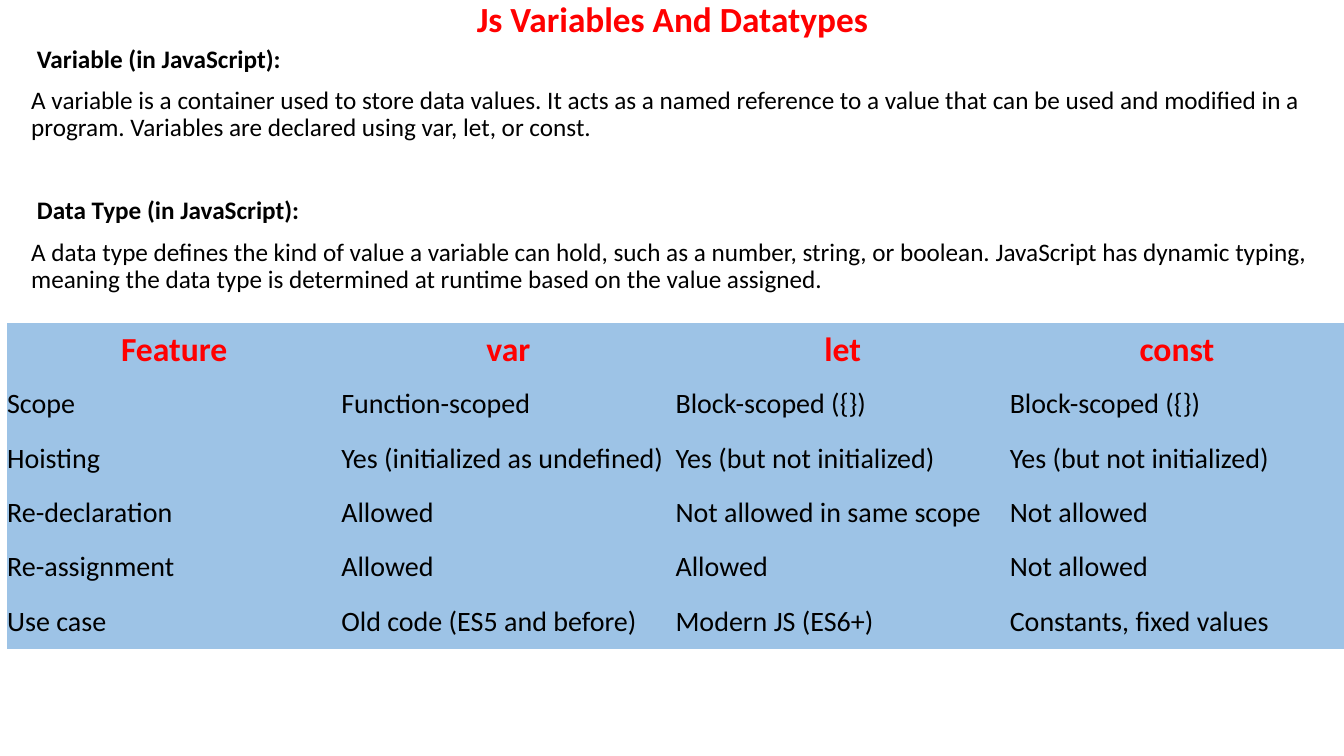
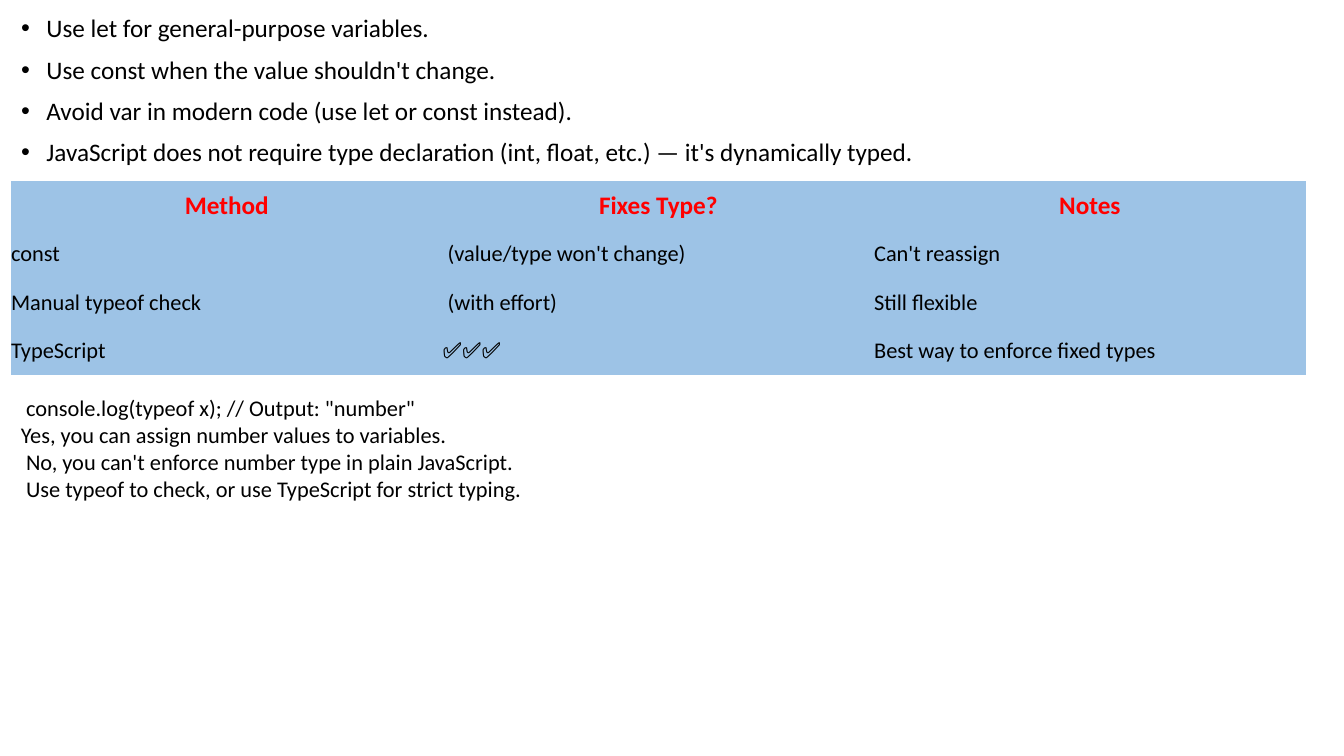
"""Build two slides on JavaScript variables and data types."""
from dataclasses import dataclass

from lxml import etree
from pptx import Presentation
from pptx.dml.color import RGBColor
from pptx.enum import text as t
from pptx.oxml import ns
from pptx.util import Inches, Pt

TITLE = "Js Variables And Datatypes"
DEFINITIONS = [
    (" Variable (in JavaScript):",
     "A variable is a container used to store data values. It acts as a named reference to a value "
     "that can be used and modified in a program. Variables are declared using var, let, or const."),
    (" Data Type (in JavaScript):",
     "A data type defines the kind of value a variable can hold, such as a number, string, or boolean. "
     "JavaScript has dynamic typing, meaning the data type is determined at runtime based on the value "
     "assigned."),
]
KEYWORDS = [
    ("Feature", "var", "let", "const"),
    ("Scope", "Function-scoped", "Block-scoped ({})", "Block-scoped ({})"),
    ("Hoisting", "Yes (initialized as undefined)", "Yes (but not initialized)", "Yes (but not initialized)"),
    ("Re-declaration", "Allowed", "Not allowed in same scope", "Not allowed"),
    ("Re-assignment", "Allowed", "Allowed", "Not allowed"),
    ("Use case", "Old code (ES5 and before)", "Modern JS (ES6+)", "Constants, fixed values"),
]
ADVICE = [
    "Use let for general-purpose variables.",
    "Use const when the value shouldn't change.",
    "Avoid var in modern code (use let or const instead).",
    "JavaScript does not require type declaration (int, float, etc.) — it's dynamically typed.",
]
METHODS = [
    ("Method", "Fixes Type?", "Notes"),
    ("const", " (value/type won't change)", "Can't reassign"),
    ("Manual typeof check", " (with effort)", "Still flexible"),
    ("TypeScript", "✅✅✅", "Best way to enforce fixed types"),
]
SUMMARY = [
    ' console.log(typeof x); // Output: "number"',
    "Yes, you can assign number values to variables.",
    " No, you can't enforce number type in plain JavaScript.",
    " Use typeof to check, or use TypeScript for strict typing.",
]


@dataclass(frozen=True)
class Theme:
    font: str = "Calibri"
    accent: RGBColor = RGBColor(0xFF, 0x00, 0x00)
    ink: RGBColor = RGBColor(0x00, 0x00, 0x00)
    table_fill: RGBColor = RGBColor(0x9D, 0xC3, 0xE6)
    title: float = 25.2
    body: float = 18
    note: float = 16
    large_header: float = 24
    large_cell: float = 20
    line_spacing: float = 0.9
    gap: float = 10
    section_gap: float = 40
    plain_table: str = "{2D5ABB26-0587-4C30-8999-92F81FD0307C}"


THEME = Theme()


def write(frame, text, *, size, color=THEME.ink, bold=False, align=t.PP_ALIGN.LEFT,
          spacing=1.0, before=0, bullet=None):
    para = frame.paragraphs[0]
    if para.runs:
        para = frame.add_paragraph()
    para.alignment, para.line_spacing = align, spacing
    para.space_before, para.space_after = Pt(before), Pt(0)
    indent = Inches(0.25) if bullet else 0
    props = para._p.get_or_add_pPr()
    props.set("marL", str(indent))
    props.set("indent", str(-indent))
    if bullet:
        etree.SubElement(props, ns.qn("a:buFont")).set("typeface", "Arial")
        etree.SubElement(props, ns.qn("a:buChar")).set("char", bullet)
    else:
        etree.SubElement(props, ns.qn("a:buNone"))
    span = para.add_run()
    span.text = text
    span.font.name, span.font.size, span.font.bold = THEME.font, Pt(size), bold
    span.font.color.rgb = color


def place(box, left, top, width, height, anchor=t.MSO_ANCHOR.TOP):
    box.left, box.top, box.width, box.height = map(Inches, (left, top, width, height))
    frame = box.text_frame
    frame.word_wrap, frame.auto_size = True, t.MSO_AUTO_SIZE.NONE
    frame.vertical_anchor = anchor
    return frame


def write_body(frame, text, **style):
    write(frame, text, size=THEME.body, spacing=THEME.line_spacing,
          **{"before": THEME.gap, **style})


def add_grid(page, rows, left, top, width, row_height, header_size, cell_size):
    columns = len(rows[0])
    table = page.shapes.add_table(len(rows), columns, Inches(left), Inches(top),
                                  Inches(width), Inches(row_height * len(rows))).table
    table.first_row = table.horz_banding = False
    table._tbl.tblPr.find(ns.qn("a:tableStyleId")).text = THEME.plain_table
    header = dict(size=header_size, color=THEME.accent, bold=True, align=t.PP_ALIGN.CENTER)
    for r, row in enumerate(rows):
        for c, text in enumerate(row):
            cell = table.cell(r, c)
            cell.fill.solid()
            cell.fill.fore_color.rgb = THEME.table_fill
            cell.vertical_anchor = t.MSO_ANCHOR.MIDDLE
            cell.margin_left = cell.margin_right = cell.margin_top = cell.margin_bottom = 0
            write(cell.text_frame, text, **(dict(size=cell_size) if r else header))


def build_definitions(page):
    title = place(page.shapes.title, 0.92, 0, 11.5, 0.41, t.MSO_ANCHOR.MIDDLE)
    write(title, TITLE, size=THEME.title, color=THEME.accent, bold=True,
          align=t.PP_ALIGN.CENTER, spacing=THEME.line_spacing)
    body = place(page.placeholders[1], 0.21, 0.41, 12.86, 6.79)
    for index, (term, meaning) in enumerate(DEFINITIONS):
        write_body(body, term, bold=True, before=THEME.section_gap if index else THEME.gap)
        write_body(body, meaning)
    add_grid(page, KEYWORDS, 0.07, 3.2, 13.26, 0.54, THEME.large_header, THEME.large_cell)


def build_advice(page):
    title = page.shapes.title._element
    title.getparent().remove(title)
    body = place(page.placeholders[1], 0.11, 0.11, 13.12, 7.17)
    for line in ADVICE:
        write_body(body, line, bullet="•")
    add_grid(page, METHODS, 0.11, 1.8, 12.84, 0.48, THEME.body, THEME.note)
    area = (0.11, 3.86, 12.41, 1.28)
    summary = place(page.shapes.add_textbox(*map(Inches, area)), *area)
    for line in SUMMARY:
        write(summary, line, size=THEME.note)


def main():
    deck = Presentation()
    deck.slide_width, deck.slide_height = Inches(13.33), Inches(7.5)
    for build in (build_definitions, build_advice):
        build(deck.slides.add_slide(deck.slide_layouts[1]))
    deck.save("out.pptx")


if __name__ == "__main__":
    main()
